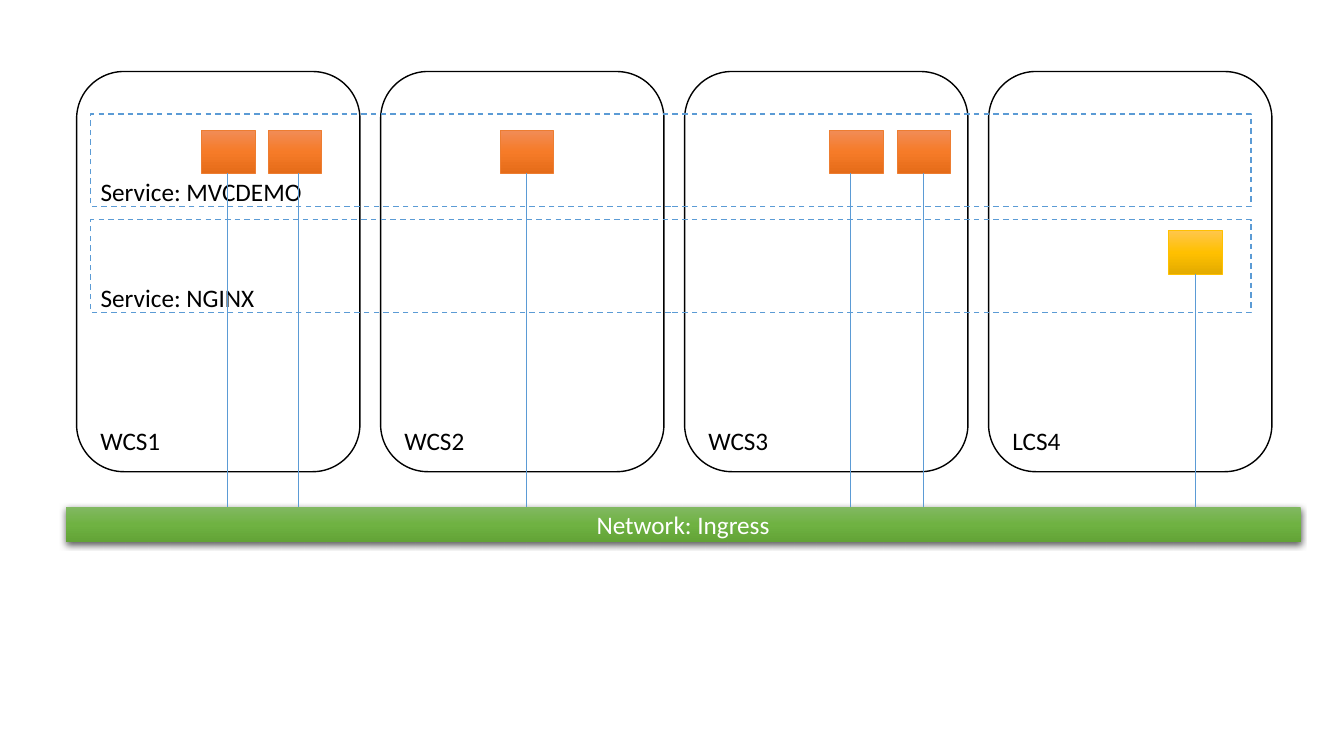
"""Draw services running across four container hosts on a shared ingress network."""
from copy import deepcopy

from lxml import etree
from pptx import Presentation
from pptx import util as u
from pptx.dml.color import RGBColor
from pptx.enum import dml, shapes, text
from pptx.oxml.ns import qn

COLORS = {
    "white": "FFFFFF",
    "black": "000000",
    "blue": "5B9BD5",
    "orange": "ED7D31",
    "gold": "FFC000",
}
GRADIENTS = {
    "green": ("81B861", "6FB242", "62A336"),
    "orange": ("F18C57", "F67B28", "E56C19"),
    "gold": ("FFC64B", "FFC000", "E3AB00"),
}
HOST_LEFT, HOST_TOP, HOST_PITCH = 0.76, 0.71, 3.015
HOST_WIDTH, HOST_HEIGHT = 2.81, 3.97
SERVICE_LEFT, SERVICE_TOP, SERVICE_PITCH = 0.9, 1.13, 1.05
SERVICE_WIDTH, SERVICE_HEIGHT = 11.51, 0.92
TASK_WIDTH, TASK_HEIGHT = 0.53, 0.43
NETWORK_TOP = 5.03

deck = Presentation()
deck.slide_width, deck.slide_height = u.Inches(13.33), u.Inches(7.5)
slide = deck.slides.add_slide(deck.slide_layouts[6])


def draw(kind, left, top, width, height, fill=None, gradient=None, line=None, weight=1):
    """Add a preset shape with a plain, graded or empty fill."""
    block = slide.shapes.add_shape(kind, *map(u.Inches, (left, top, width, height)))
    block.shadow.inherit = False
    if gradient:
        block.fill.gradient()
        block.fill.gradient_angle = 270
        stops = block._element.spPr.find(".//" + qn("a:gsLst"))
        stops.append(deepcopy(stops[0]))
        for index, tone in enumerate(GRADIENTS[gradient]):
            stop = block.fill.gradient_stops[index]
            stop.position = index / 2
            stop.color.rgb = RGBColor.from_string(tone)
    elif fill:
        block.fill.solid()
        block.fill.fore_color.rgb = RGBColor.from_string(COLORS[fill])
    else:
        block.fill.background()
    if line:
        block.line.color.rgb = RGBColor.from_string(COLORS[line])
        block.line.width = u.Pt(weight)
    else:
        block.line.fill.background()
    return block


def write(block, words, color="black", align=text.PP_ALIGN.LEFT,
          anchor=text.MSO_ANCHOR.BOTTOM, bottom=0.0, size=18):
    """Put one formatted line of text in a shape."""
    frame = block.text_frame
    frame.word_wrap = True
    frame.vertical_anchor = anchor
    frame.margin_bottom = u.Inches(bottom)
    paragraph = frame.paragraphs[0]
    paragraph.text = words
    paragraph.alignment = align
    paragraph.font.name = "Calibri"
    paragraph.font.size = u.Pt(size)
    paragraph.font.color.rgb = RGBColor.from_string(COLORS[color])


for column, host_name in enumerate(("WCS1", "WCS2", "WCS3", "LCS4")):
    host = draw(shapes.MSO_SHAPE.ROUNDED_RECTANGLE, HOST_LEFT + column * HOST_PITCH,
                HOST_TOP, HOST_WIDTH, HOST_HEIGHT, fill="white", line="black")
    write(host, host_name, bottom=0.02)

network = draw(shapes.MSO_SHAPE.RECTANGLE, 0.65, NETWORK_TOP, 12.25, 0.35, gradient="green")
write(network, "Network: Ingress", color="white", align=text.PP_ALIGN.CENTER,
      anchor=text.MSO_ANCHOR.MIDDLE, bottom=0.05)
glow = etree.SubElement(network._element.spPr.find(qn("a:effectLst")), qn("a:outerShdw"),
                        blurRad=str(u.Pt(4.5)), dist=str(u.Pt(1.5)), dir="5400000",
                        algn="ctr", rotWithShape="0")
shade = etree.SubElement(glow, qn("a:srgbClr"), val=COLORS["black"])
etree.SubElement(shade, qn("a:alpha"), val="63000")

for row, service_name in enumerate(("Service: MVCDEMO", "Service: NGINX")):
    service = draw(shapes.MSO_SHAPE.RECTANGLE, SERVICE_LEFT, SERVICE_TOP + row * SERVICE_PITCH,
                   SERVICE_WIDTH, SERVICE_HEIGHT, line="blue")
    service.line.dash_style = dml.MSO_LINE.DASH
    write(service, service_name)

tasks = [
    (2.0, 1.29, "orange", 2.25),
    (2.66, 1.29, "orange", 2.96),
    (4.96, 1.29, "orange", 5.22),
    (8.23, 1.29, "orange", 8.43),
    (8.9, 1.29, "orange", 9.16),
    (11.59, 2.29, "gold", 11.86),
]
for left, top, color, link_x in tasks:
    draw(shapes.MSO_SHAPE.RECTANGLE, left, top, TASK_WIDTH, TASK_HEIGHT,
         gradient=color, line=color, weight=0.5)
    link = slide.shapes.add_connector(
        shapes.MSO_CONNECTOR.STRAIGHT,
        *map(u.Inches, (link_x, top + TASK_HEIGHT, link_x, NETWORK_TOP)))
    link.line.color.rgb = RGBColor.from_string(COLORS["blue"])
    link.line.width = u.Pt(0.5)
    etree.SubElement(link._element.spPr, qn("a:effectLst"))

deck.save("out.pptx")
